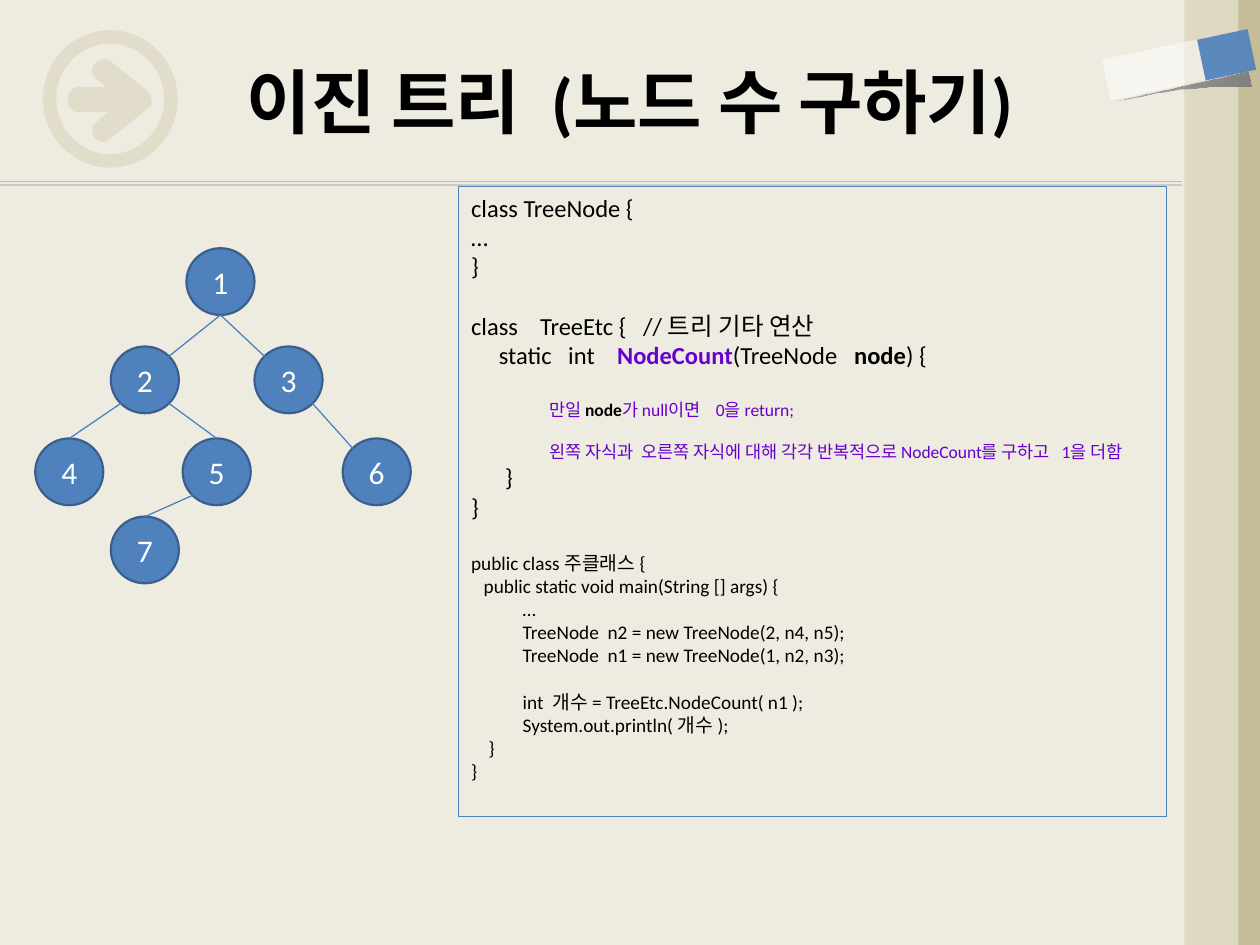
from lxml import etree
from pptx import Presentation
from pptx import util as u
from pptx.dml.color import RGBColor
from pptx.enum import shapes, text
from pptx.oxml.ns import qn

HUES = dict(page="EEECE1", sand="C4BD97", pale="DDD9C3", blue="4F81BD", rim="3A5F8C",
            white="FFFFFF", black="000000", gray="808080", plum="6600CC")
RGB = {name: RGBColor.from_string(code) for name, code in HUES.items()}
KIND = shapes.MSO_SHAPE

deck = Presentation()
deck.slide_width, deck.slide_height = u.Inches(10), u.Inches(7.5)
slide = deck.slides.add_slide(deck.slide_layouts[5])
slide.background.fill.solid()
slide.background.fill.fore_color.rgb = RGB["page"]

# Grid of 100 columns by 75 rows, square cells
cell = deck.slide_width // 100


def write(para, words, size=14, hue="black", bold=False):
    run = para.add_run()
    run.text = words
    run.font.name, run.font.size, run.font.bold = "Calibri", u.Pt(size), bold
    run.font.color.rgb = RGB[hue]


def paint(shape, fill=None, alpha=100, line=None, width=0.75):
    shape.shadow.inherit = False
    if fill:
        shape.fill.solid()
        shape.fill.fore_color.rgb = RGB[fill]
        if alpha < 100:
            tint = shape.element.spPr.find(".//" + qn("a:srgbClr"))
            etree.SubElement(tint, qn("a:alpha"), val=str(alpha * 1000))
    else:
        shape.fill.background()
    if line:
        shape.line.color.rgb = RGB[line]
        shape.line.width = u.Pt(width)
    else:
        shape.line.fill.background()
    return shape


draw = slide.shapes

# Rule under the title, with its offset shadow
rule = draw.add_connector(shapes.MSO_CONNECTOR.STRAIGHT, 0, int(14.4 * cell),
                          int(93.8 * cell), int(14.4 * cell))
rule.line.color.rgb, rule.line.width = RGB["sand"], u.Pt(0.75)
glow = etree.SubElement(rule.element.spPr, qn("a:effectLst"))
drop = etree.SubElement(glow, qn("a:outerShdw"), dist=str(u.Pt(2)), dir="5400000")
tint = etree.SubElement(drop, qn("a:srgbClr"), val=HUES["black"])
etree.SubElement(tint, qn("a:alpha"), val="22000")

# Curved outlines: two numbers make a line, six make a curve
paths = dict(
    arrow=[(11.8, 7.3), (11.2, 6.8, 9.2, 5.1, 8.5, 4.7), (8.1, 4.6, 7.9, 4.8, 7.6, 5),
           (7.3, 5.2, 7.2, 5.7, 7.5, 6.1), (8.4, 6.9), (6.1, 6.9),
           (5.5, 7.1, 5.4, 7.6, 5.4, 7.9), (5.3, 8.3, 5.6, 8.8, 6.1, 8.9),
           (8.6, 8.9), (7.4, 9.9), (7.3, 10.2, 7.3, 10.7, 7.5, 10.9),
           (7.7, 11.1, 8, 11.3, 8.4, 11.3), (10.1, 9.9, 11.9, 8.5, 11.9, 8.5),
           (12.2, 8.2, 12, 8.1, 12, 7.9), (12, 7.7, 12, 7.5, 11.8, 7.3)],
    shade=[(99, 5.7), (99.3, 6.9), (92.8, 6.8, 91.5, 7.6, 88.5, 8),
           (92, 7.2, 95.5, 6.5, 99, 5.7)])
forms = {}
for name, path in paths.items():
    dots = [path[0]]
    for step in path[1:]:
        if len(step) == 2:
            dots.append(step)
            continue
        a, b, c, d = dots[-1], step[:2], step[2:4], step[4:]
        for t in (0.2, 0.4, 0.6, 0.8, 1):
            s = 1 - t
            dots.append(tuple(s**3 * a[i] + 3 * s * s * t * b[i] + 3 * s * t * t * c[i]
                              + t**3 * d[i] for i in (0, 1)))
    dots = [(x * cell, y * cell) for x, y in dots]
    pen = draw.build_freeform(*dots[0], scale=1.0)
    pen.add_line_segments(dots[1:], close=True)
    forms[name] = pen.convert_to_shape()
paint(forms["arrow"], "sand", 30)
shade = paint(forms["shade"])
shade.fill.gradient()
shade.fill.gradient_angle = 0
for stop in shade.fill.gradient_stops:
    stop.color.rgb = RGB["gray"]
tint = shade.element.spPr.find(".//" + qn("a:srgbClr"))
etree.SubElement(tint, qn("a:alpha"), val="56000")

# Ring, side bands and tape
for kind, box, hue, alpha, turn in [
        (KIND.DONUT, (3.4, 2.4, 10.7, 10.9), "sand", 30, 0),
        (KIND.RECTANGLE, (94.1, 0, 5.9, 75), "sand", 100, 0),
        (KIND.RECTANGLE, (94, 0, 4.3, 75), "pale", 100, 0),
        (KIND.RECTANGLE, (95.7, 2.3, 3.3, 4.1), "blue", 90, 78),
        (KIND.RECTANGLE, (89.9, 1.7, 3.3, 7.7), "white", 50, 78)]:
    part = paint(draw.add_shape(kind, *[int(n * cell) for n in box]), hue, alpha)
    part.rotation = turn
    if kind == KIND.DONUT:
        part.adjustments[0] = 0.1
    if hue == "sand" and kind == KIND.RECTANGLE:
        band = part
band.element.addnext(shade.element)
band.element.addnext(draw[-3].element)

# Title
title = draw.title
title.left, title.top, title.width, title.height = [
    int(n * cell) for n in (5, 1.7, 90, 12.5)]
frame = title.text_frame
frame.auto_size, frame.vertical_anchor = text.MSO_AUTO_SIZE.NONE, text.MSO_ANCHOR.MIDDLE
frame.paragraphs[0].alignment = text.PP_ALIGN.CENTER
write(frame.paragraphs[0], "이진 트리  (노드 수 구하기)", size=40, bold=True)

# Code panel: indent in cells, space before in points, size, runs
code = [
    (0, 0, 14, ["class TreeNode {"]),
    (0, 0, 14, ["…"]),
    (0, 0, 14, ["}"]),
    (0, 17, 14, ["class    TreeEtc {   // 트리 기타 연산"]),
    (2.2, 0, 14, ["static   int    ", ("NodeCount", "plum", True), "(TreeNode   ",
                  ("node", "black", True), ") {"]),
    (6.2, 17, 10, [("만일 ", "plum", False), ("node", "black", True),
                   ("가 null이면    0을 return;", "plum", False)]),
    (6.2, 12, 10, [("왼쪽 자식과  오른쪽 자식에 대해 각각 반복적으로 "
                    "NodeCount를 구하고   1을 더함", "plum", False)]),
    (2.7, 0, 14, ["}"]),
    (0, 0, 14, ["}"]),
    (0, 17, 11, ["public class 주클래스 {"]),
    (1, 0, 11, ["public static void main(String [] args) {"]),
    (4.1, 0, 11, ["…"]),
    (4.1, 0, 11, ["TreeNode  n2 = new TreeNode(2, n4, n5);"]),
    (4.1, 0, 11, ["TreeNode  n1 = new TreeNode(1, n2, n3);"]),
    (4.1, 13.4, 11, ["int  개수 = TreeEtc.NodeCount( n1 );"]),
    (4.1, 0, 11, ["System.out.println( 개수 );"]),
    (1.4, 0, 11, ["}"]),
    (0, 0, 11, ["}"])]
panel = paint(draw.add_shape(KIND.RECTANGLE, *[int(n * cell) for n in (36.4, 14.8, 56.2, 50)]),
              line="blue")
frame = panel.text_frame
frame.word_wrap, frame.vertical_anchor = True, text.MSO_ANCHOR.TOP
frame.margin_right = cell // 4
for row, (indent, gap, size, runs) in enumerate(code):
    para = frame.add_paragraph() if row else frame.paragraphs[0]
    para.alignment, para.space_before = text.PP_ALIGN.LEFT, u.Pt(gap)
    para._p.get_or_add_pPr().set("marL", str(int(indent * cell)))
    for run in runs:
        words, hue, bold = (run, "black", False) if isinstance(run, str) else run
        write(para, words, size, hue, bold)

# Tree: node corners, then edges from site to site
wide, high = 5.4, 5.3
nodes = {1: (14.8, 19.7), 2: (8.8, 27.5), 3: (20.2, 27.5), 4: (2.8, 34.8),
         5: (14.5, 34.8), 6: (27.2, 34.8), 7: (8.8, 41)}
sites = dict(n=(0.5, 0), s=(0.5, 1), nw=(0.15, 0.15), ne=(0.85, 0.15),
             sw=(0.15, 0.85), se=(0.85, 0.85))
edges = [(1, "s", 2, "ne"), (1, "s", 3, "nw"), (3, "se", 6, "nw"),
         (2, "se", 5, "n"), (2, "sw", 4, "n"), (5, "sw", 7, "n")]
for num, (x, y) in nodes.items():
    node = paint(draw.add_shape(KIND.OVAL, *[int(n * cell) for n in (x, y, wide, high)]),
                 "blue", line="rim", width=1.25)
    frame = node.text_frame
    frame.vertical_anchor = text.MSO_ANCHOR.MIDDLE
    frame.paragraphs[0].alignment = text.PP_ALIGN.CENTER
    write(frame.paragraphs[0], str(num), size=18, hue="white")
for top, out, low, into in edges:
    ends = []
    for num, site in ((top, out), (low, into)):
        (x, y), (dx, dy) = nodes[num], sites[site]
        ends += [int((x + dx * wide) * cell), int((y + dy * high) * cell)]
    edge = draw.add_connector(shapes.MSO_CONNECTOR.STRAIGHT, *ends)
    edge.line.color.rgb, edge.line.width = RGB["blue"], u.Pt(0.75)
    etree.SubElement(edge.element.spPr, qn("a:effectLst"))

deck.save("out.pptx")
